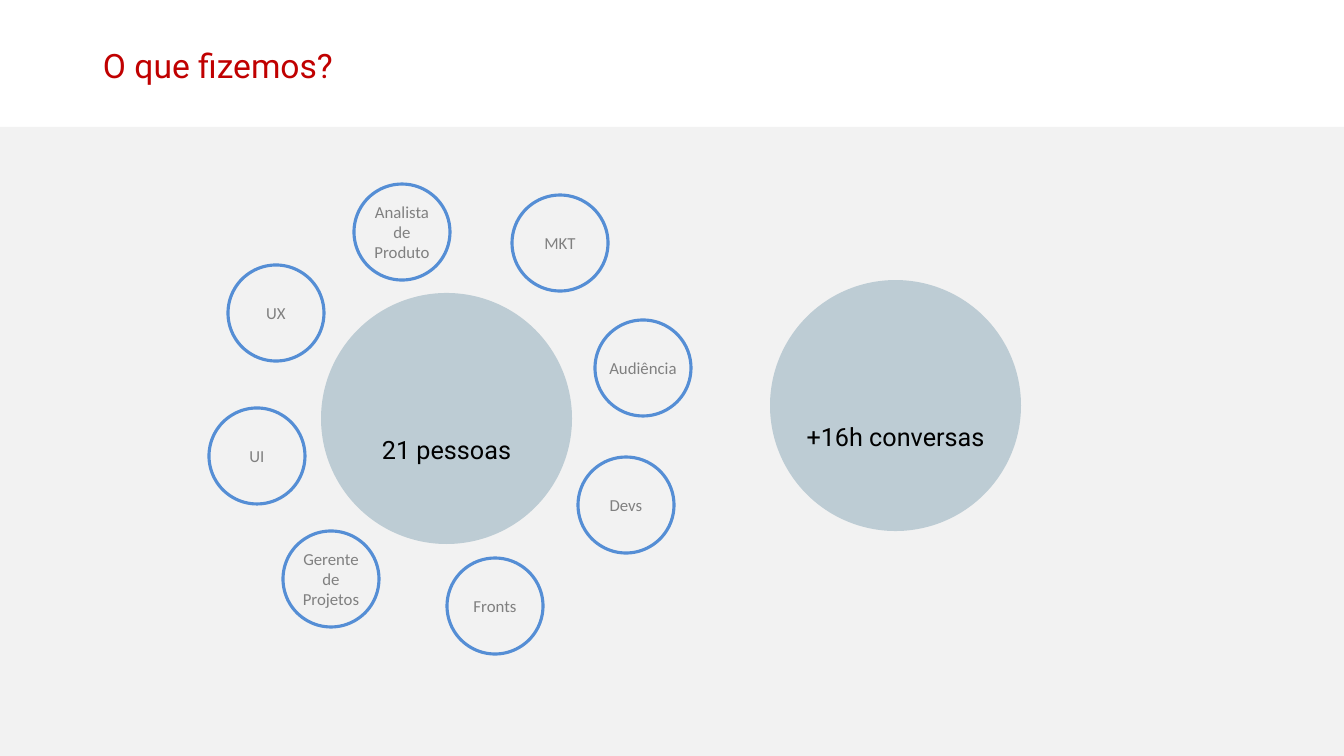
from pptx import Presentation
from pptx.dml.color import RGBColor
from pptx.enum.shapes import MSO_SHAPE
from pptx.enum.text import MSO_ANCHOR, PP_ALIGN
from pptx.util import Pt

RECTANGLE, OVAL = MSO_SHAPE.RECTANGLE, MSO_SHAPE.OVAL
MIDDLE = MSO_ANCHOR.MIDDLE
LEFT, CENTER = PP_ALIGN.LEFT, PP_ALIGN.CENTER

WIDTH, HEIGHT = 1344, 756
SCALE = 12192000 / WIDTH
BAND_TOP = 127
ROLE_SIZE, TOTAL_SIZE = 96, 251

COLORS = {
    "title": "C00000",
    "band": "F2F2F2",
    "total": "BDCCD4",
    "ring": "558ED5",
    "role": "808080",
    "black": "000000",
}
TOTALS = [("+16h conversas", 770, 280), ("21 pessoas", 321, 293)]
ROLES = [
    ("UX", 228, 265),
    ("UI", 209, 408),
    ("Gerente de Projetos", 283, 531),
    ("Fronts", 447, 558),
    ("Devs", 578, 457),
    ("Analista de Produto", 354, 184),
    ("MKT", 512, 195),
    ("Audiência", 595, 320),
]


def px(length):
    return round(length * SCALE)


def color(name):
    return RGBColor.from_string(COLORS[name])


def write(shape, text, *, size, fill, font="Roboto", align=CENTER, wrap=True, insets=(0, 0, 0, 0)):
    frame = shape.text_frame
    frame.word_wrap = wrap
    frame.vertical_anchor = MIDDLE
    frame.margin_left, frame.margin_top, frame.margin_right, frame.margin_bottom = map(px, insets)
    paragraph = frame.paragraphs[0]
    paragraph.alignment = align
    run = paragraph.add_run()
    run.text = text
    run.font.name = font
    run.font.size = Pt(size)
    run.font.color.rgb = color(fill)


class TeamSlide:
    """Draws the styled elements of the team slide."""

    def __init__(self, presentation):
        self.shapes = presentation.slides.add_slide(presentation.slide_layouts[6]).shapes

    def shape(self, kind, left, top, width, height, fill, line=None):
        shape = self.shapes.add_shape(kind, px(left), px(top), px(width), px(height))
        shape.shadow.inherit = False
        shape.fill.solid()
        shape.fill.fore_color.rgb = color(fill)
        if line:
            shape.line.color.rgb = color(line)
            shape.line.width = Pt(2.25)
        else:
            shape.line.fill.background()
        return shape

    def title(self, text):
        box = self.shapes.add_textbox(px(93), px(40), px(1159), px(51))
        write(box, text, size=24, fill="title", align=LEFT, insets=(10, 5, 10, 5))

    def total(self, text, left, top):
        circle = self.shape(OVAL, left, top, TOTAL_SIZE, TOTAL_SIZE, "total")
        write(circle, text, size=18, fill="black", wrap=False, insets=(10, 67, 10, 5))

    def role(self, text, left, top):
        circle = self.shape(OVAL, left, top, ROLE_SIZE, ROLE_SIZE, "band", "ring")
        write(circle, text, size=12, fill="role", font="Calibri", wrap=" " in text)


def main():
    presentation = Presentation()
    presentation.slide_width, presentation.slide_height = px(WIDTH), px(HEIGHT)
    slide = TeamSlide(presentation)
    slide.shape(RECTANGLE, 0, BAND_TOP, WIDTH, HEIGHT - BAND_TOP, "band")
    slide.title("O que fizemos?")
    for total in TOTALS:
        slide.total(*total)
    for role in ROLES:
        slide.role(*role)
    presentation.save("out.pptx")


if __name__ == "__main__":
    main()
